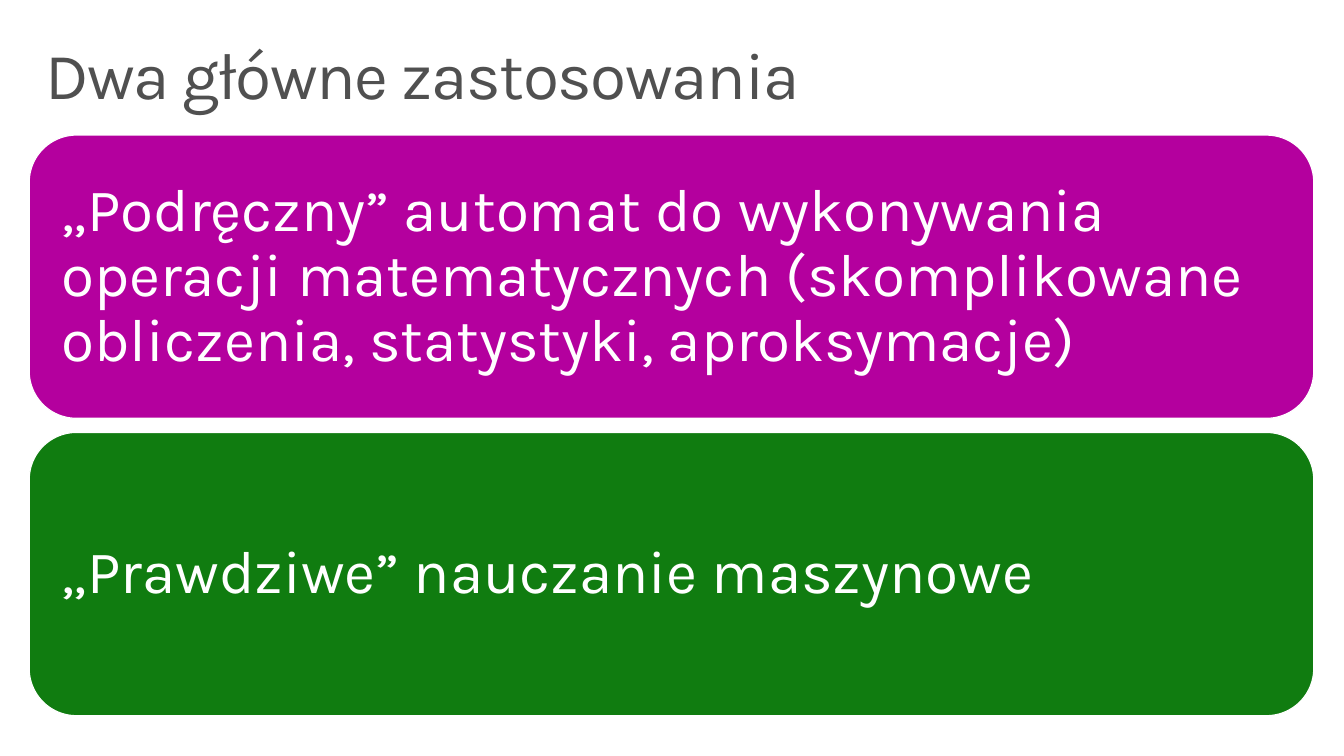
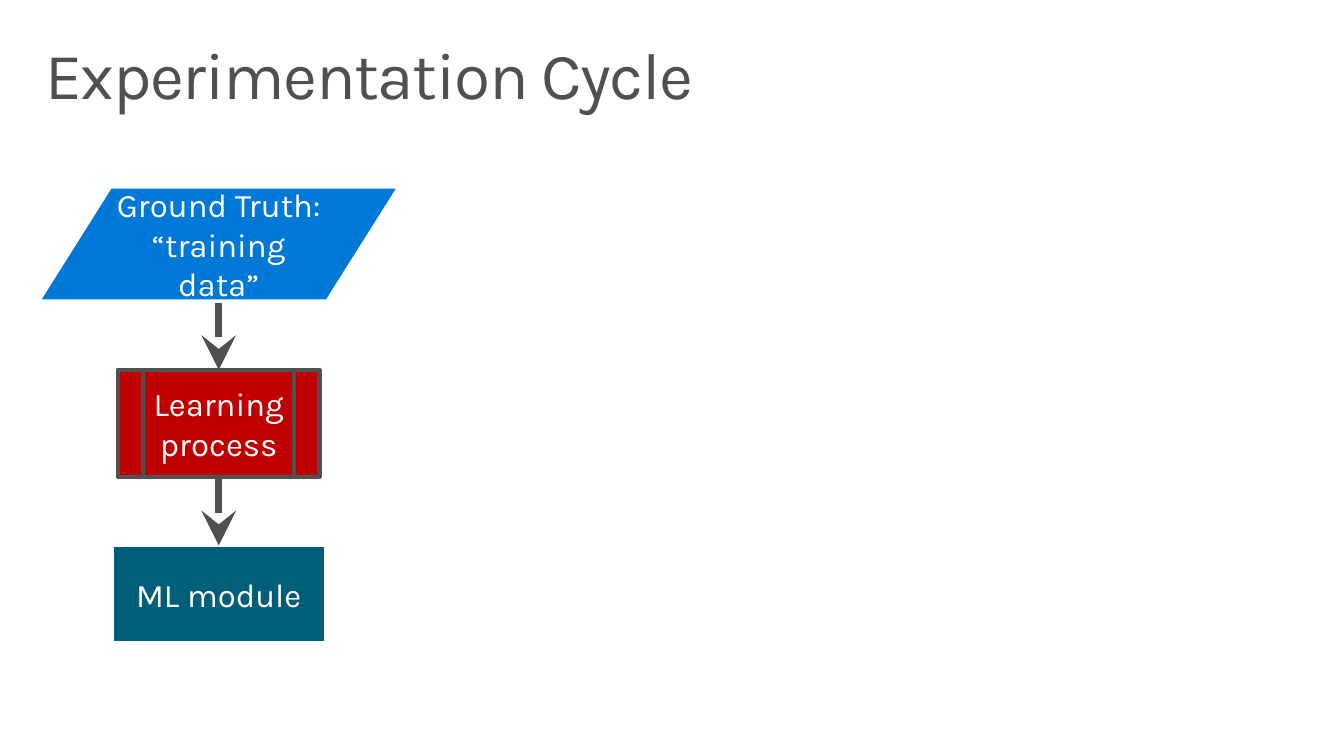
"""Build two slides: the main uses of machine learning and the experimentation cycle."""
from dataclasses import dataclass

import pptx
import pptx.dml.color
import pptx.enum.shapes
import pptx.enum.text
import pptx.oxml.ns
import pptx.util
from lxml import etree

Inches = pptx.util.Inches
Pt = pptx.util.Pt
SHAPE = pptx.enum.shapes.MSO_SHAPE
ANCHOR = pptx.enum.text.MSO_ANCHOR
ALIGN = pptx.enum.text.PP_ALIGN


@dataclass(frozen=True)
class Theme:
    font: str = "Karla"
    white: str = "FFFFFF"
    grey: str = "505050"
    purple: str = "B4009E"
    green: str = "107C10"
    blue: str = "0078D7"
    red: str = "C00000"
    teal: str = "005E79"
    title_size: float = 47
    use_size: float = 43
    step_size: float = 23.5


THEME = Theme()

USES_TITLE = "Dwa główne zastosowania"
USES = [
    ("„Podręczny” automat do wykonywania operacji matematycznych "
     "(skomplikowane obliczenia, statystyki, aproksymacje)", THEME.purple),
    ("„Prawdziwe” nauczanie maszynowe", THEME.green),
]
CYCLE_TITLE = "Experimentation Cycle"
STEPS = [
    ("Ground Truth:\v“training data”", SHAPE.FLOWCHART_DATA, THEME.blue, THEME.white, 1.85, 3.59, 1.14),
    ("Learning\vprocess", SHAPE.FLOWCHART_PREDEFINED_PROCESS, THEME.red, THEME.grey, 3.67, 2, 1.06),
    ("ML module", SHAPE.FLOWCHART_PROCESS, THEME.teal, THEME.white, 5.41, 2.12, 0.97),
]

LEFT, WIDTH = 0.29, 12.74
USES_TOP, USE_HEIGHT, USE_GAP = 1.34, 2.81, 0.14
FLOW_CENTER = 2.17
ARROW_GAP = 0.02

TITLE_FRAME = dict(margin_left=Inches(0.16), margin_right=Inches(0.16),
                   margin_top=Inches(0.1), margin_bottom=Inches(0.1),
                   vertical_anchor=ANCHOR.TOP, word_wrap=True)
USE_FRAME = dict(margin_left=Inches(0.18), margin_right=Inches(0.18),
                 margin_top=Inches(0.18), margin_bottom=Inches(0.18),
                 vertical_anchor=ANCHOR.MIDDLE, word_wrap=True)
STEP_FRAME = dict(margin_left=0, margin_right=0,
                  margin_top=Inches(0.05), margin_bottom=Inches(0.05),
                  vertical_anchor=ANCHOR.MIDDLE, word_wrap=True)
TIGHT_LEFT = dict(alignment=ALIGN.LEFT, line_spacing=0.9)
CENTERED = dict(alignment=ALIGN.CENTER)


def rgb(value):
    return pptx.dml.color.RGBColor.from_string(value)


def apply_format(target, values):
    for name, value in values.items():
        setattr(target, name, value)


def write(shape, text, frame_format, paragraph_format, size, color):
    frame = shape.text_frame
    apply_format(frame, frame_format)
    paragraph = frame.paragraphs[0]
    paragraph.text = text
    apply_format(paragraph, paragraph_format)
    for run in paragraph.runs:
        apply_format(run.font, dict(name=THEME.font, size=Pt(size)))
        run.font.color.rgb = rgb(color)


def add_title(slide, text):
    title = slide.shapes.add_textbox(Inches(LEFT), Inches(0.32), Inches(WIDTH), Inches(0.98))
    write(title, text, TITLE_FRAME, TIGHT_LEFT, THEME.title_size, THEME.grey)
    title.text_frame.paragraphs[0].runs[0].font._element.set("spc", "-100")


def add_block(slide, kind, box, fill, outline, outline_width):
    block = slide.shapes.add_shape(kind, *map(Inches, box))
    block.shadow.inherit = False
    block.fill.solid()
    block.fill.fore_color.rgb = rgb(fill)
    block.line.color.rgb = rgb(outline)
    block.line.width = Pt(outline_width)
    return block


def add_arrow(slide, top, bottom):
    center = Inches(FLOW_CENTER)
    arrow = slide.shapes.add_connector(
        pptx.enum.shapes.MSO_CONNECTOR.STRAIGHT, center, top, center, bottom)
    arrow.line.color.rgb = rgb(THEME.grey)
    arrow.line.width = Pt(5)
    qn = pptx.oxml.ns.qn
    etree.SubElement(arrow.line._get_or_add_ln(), qn("a:tailEnd"), type="stealth", w="lg", len="lg")
    etree.SubElement(arrow._element.spPr, qn("a:effectLst"))
    return arrow


def build_uses(slide):
    add_title(slide, USES_TITLE)
    for row, (text, fill) in enumerate(USES):
        top = USES_TOP + row * (USE_HEIGHT + USE_GAP)
        use = add_block(slide, SHAPE.ROUNDED_RECTANGLE, (LEFT, top, WIDTH, USE_HEIGHT),
                        fill, THEME.white, 0.85)
        write(use, text, USE_FRAME, TIGHT_LEFT, THEME.use_size, THEME.white)


def build_cycle(slide):
    add_title(slide, CYCLE_TITLE)
    steps = []
    for text, kind, fill, outline, top, width, height in STEPS:
        box = (FLOW_CENTER - width / 2, top, width, height)
        step = add_block(slide, kind, box, fill, outline, 3)
        write(step, text, STEP_FRAME, CENTERED, THEME.step_size, THEME.white)
        steps.append(step)
    data, learning, module = steps
    data_bottom = data.top + data.height + Inches(ARROW_GAP)
    to_learning = add_arrow(slide, data_bottom, learning.top)
    to_learning.end_connect(learning, 0)
    to_module = add_arrow(slide, learning.top + learning.height, module.top)
    to_module.begin_connect(learning, 2)
    to_module.end_connect(module, 0)


def main():
    deck = pptx.Presentation()
    apply_format(deck, dict(slide_width=Inches(13.33), slide_height=Inches(7.5)))
    for build in (build_uses, build_cycle):
        build(deck.slides.add_slide(deck.slide_layouts[6]))
    deck.save("out.pptx")


if __name__ == "__main__":
    main()
